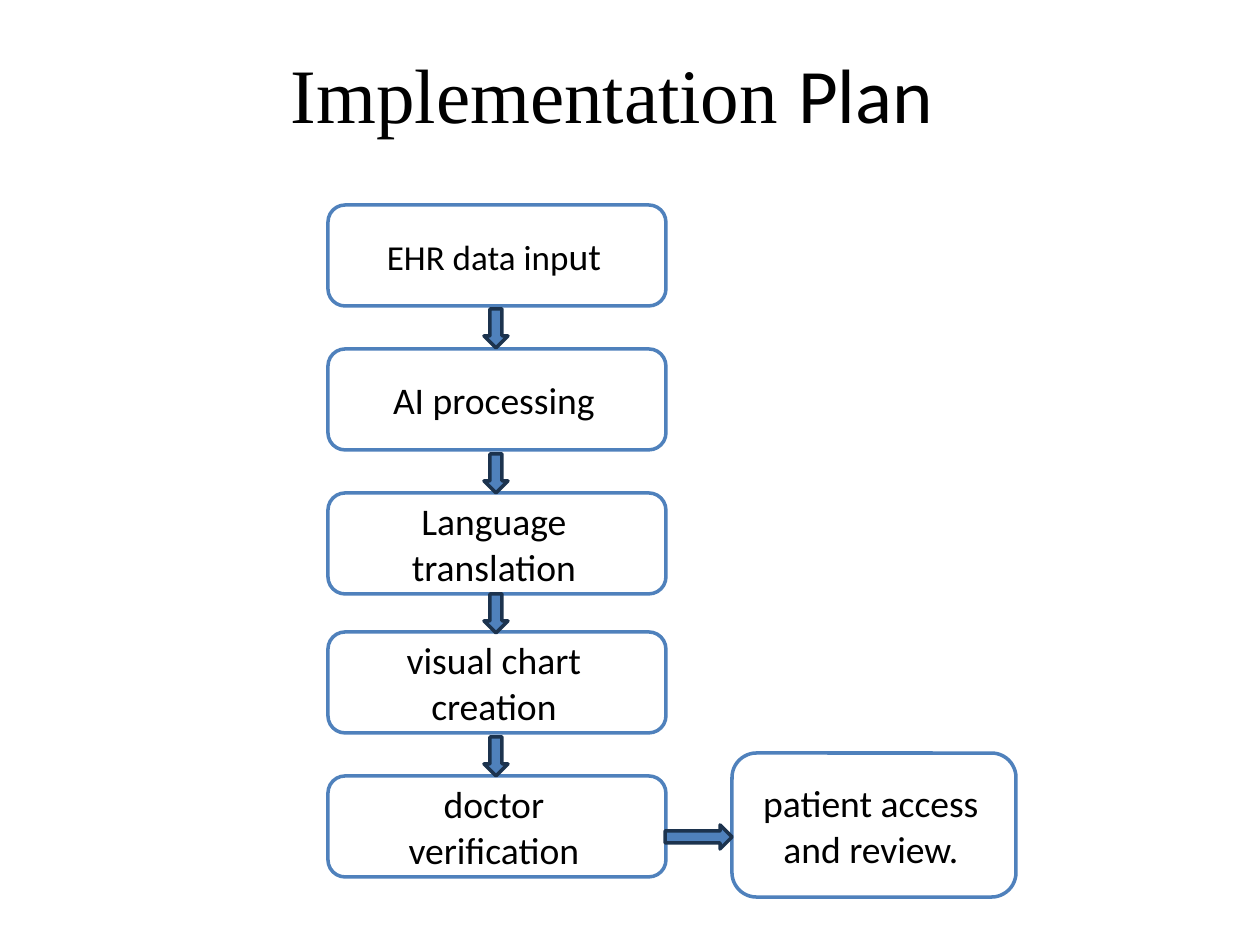
"""Build the implementation plan slide, a flow of rounded steps and block arrows."""
from pptx import Presentation
from pptx.dml.color import RGBColor as Rgb
from pptx.enum.shapes import MSO_SHAPE as Kind
from pptx.enum.text import MSO_ANCHOR as Anchor, MSO_AUTO_SIZE as Fit, PP_ALIGN as Align
from pptx.util import Emu, Pt

COLORS = {"blue": "4F81BC", "navy": "1C334E", "text": "000000"}
FONT, SIZE = "Calibri", 21.5
TITLE = [("Implementation ", "Times New Roman", 44), ("Plan", FONT, 44)]
STEPS = [
    (205, [[("EHR data inp", FONT, 20), ("ut", FONT, SIZE)]]),
    (349, [[("AI processing", FONT, SIZE)]]),
    (493, [[("Language", FONT, SIZE)], [("translation", FONT, SIZE)]]),
    (632, [[("visual chart creation", FONT, SIZE)]]),
    (776, [[("doctor verification", FONT, SIZE)]]),
]
REVIEW = [[("patient access and review.", FONT, SIZE)]]
LEFT, WIDE, HIGH = 328, 338, 101
DROPS = [309, 454, 594, 737]
HEAD, DROP = 24, 39


def px(n):
    return Emu(round(n * 914400 / 126))


def color(name):
    return Rgb.from_string(COLORS[name])


def write(para, runs):
    for text, font, size in runs:
        run = para.add_run()
        run.text = text
        run.font.name, run.font.size = font, Pt(size)
        run.font.color.rgb = color("text")


def inset(frame, left, top, right, bottom):
    frame.margin_left, frame.margin_top = px(left), px(top)
    frame.margin_right, frame.margin_bottom = px(right), px(bottom)
    frame.word_wrap = True


def shape(slide, kind, box, line):
    item = slide.shapes.add_shape(kind, *map(px, box))
    item.shadow.inherit = False
    item.line.color.rgb, item.line.width = color(line), Pt(2)
    return item


def step(slide, box, paras):
    item = shape(slide, Kind.ROUNDED_RECTANGLE, box, "blue")
    item.adjustments[0] = 0.17
    item.fill.background()
    frame = item.text_frame
    inset(frame, 22, 0, 28, 0)
    frame.vertical_anchor = Anchor.MIDDLE
    for i, runs in enumerate(paras):
        para = frame.add_paragraph() if i else frame.paragraphs[0]
        para.alignment, para.line_spacing = Align.CENTER, 1.02
        write(para, runs)


def arrow(slide, kind, box):
    item = shape(slide, kind, box, "navy")
    item.fill.solid()
    item.fill.fore_color.rgb = color("blue")


def main():
    deck = Presentation()
    deck.slide_width, deck.slide_height = px(1260), px(945)
    slide = deck.slides.add_slide(deck.slide_layouts[5])

    title = slide.shapes.title
    title.left, title.top, title.width, title.height = map(px, (144, 42, 971, 96))
    frame = title.text_frame
    frame.auto_size, frame.vertical_anchor = Fit.NONE, Anchor.TOP
    inset(frame, 147, 4, 0, 0)
    frame.paragraphs[0].alignment = Align.LEFT
    write(frame.paragraphs[0], TITLE)

    for top, paras in STEPS:
        step(slide, (LEFT, top, WIDE, HIGH), paras)
    step(slide, (732, 753, 284, 144), REVIEW)

    for top in DROPS:
        arrow(slide, Kind.DOWN_ARROW, (LEFT + (WIDE - HEAD) / 2 - 1, top, HEAD, DROP))
    arrow(slide, Kind.RIGHT_ARROW, (LEFT + WIDE - 1, 825, 67, HEAD))
    deck.save("out.pptx")


if __name__ == "__main__":
    main()
